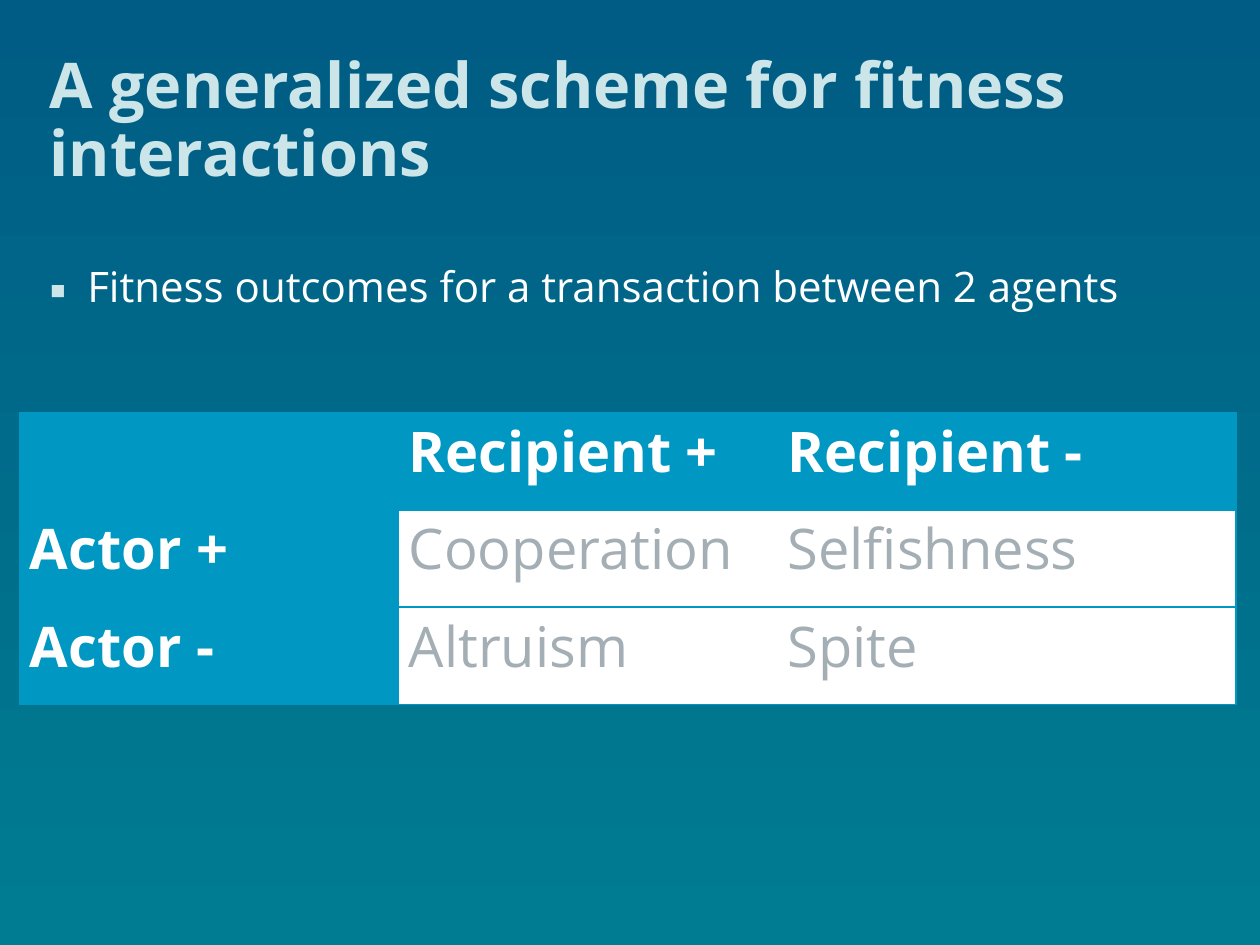
import pptx
import pptx.dml.color
import pptx.enum.text
import pptx.oxml
import pptx.oxml.ns
import pptx.util
from dataclasses import dataclass

Cm = pptx.util.Cm
Pt = pptx.util.Pt
RGB = pptx.dml.color.RGBColor
Anchor = pptx.enum.text.MSO_ANCHOR

NAVY = RGB(0x00, 0x5C, 0x84)
TEAL = RGB(0x00, 0x7C, 0x92)
BLUE = RGB(0x00, 0x98, 0xC3)
PALE = RGB(0xCC, 0xE5, 0xE9)
GRAY = RGB(0xA4, 0xAE, 0xB5)
WHITE = RGB(0xFF, 0xFF, 0xFF)
FONT = "Open Sans"
PLAIN = "{2D5ABB26-0587-4C30-8999-92F81FD0307C}"


@dataclass
class Look:
    size: int
    color: RGB
    bold: bool = False


HEAD = Look(32, WHITE, True)
DATA = Look(32, GRAY)
ROWS = [
    ["", "Recipient +", "Recipient -"],
    ["Actor +", "Cooperation", "Selfishness"],
    ["Actor -", "Altruism", "Spite"],
]
WIDTHS = [7.64, 7.64, 9.24]
HIGH = 1.96


def write(frame, text: str, look: Look, gap: float = 1.0):
    """Put one left-aligned paragraph in the frame and return it."""
    para = frame.paragraphs[0]
    para.alignment = pptx.enum.text.PP_ALIGN.LEFT
    para.line_spacing = gap
    run = para.add_run()
    run.text = text
    form = {"name": FONT, "size": Pt(look.size), "bold": look.bold}
    for key, value in form.items():
        setattr(run.font, key, value)
    run.font.color.rgb = look.color
    return para


def setup(frame, anchor) -> None:
    form = {
        "margin_left": 0, "margin_right": 0, "margin_top": 0,
        "margin_bottom": 0, "word_wrap": True, "vertical_anchor": anchor,
        "auto_size": pptx.enum.text.MSO_AUTO_SIZE.NONE,
    }
    for key, value in form.items():
        setattr(frame, key, value)


def place(shape, left: float, top: float, width: float, height: float) -> None:
    shape.left, shape.top = Cm(left), Cm(top)
    shape.width, shape.height = Cm(width), Cm(height)


def bullet(para, sign: str, color: RGB, indent: float) -> None:
    props = para._p.get_or_add_pPr()
    props.set("marL", str(Cm(indent)))
    props.set("indent", str(-Cm(indent)))
    space = pptx.oxml.ns.nsdecls("a")
    for xml in (
        f'<a:buClr {space}><a:srgbClr val="{color}"/></a:buClr>',
        f'<a:buFont {space} typeface="{FONT}"/>',
        f'<a:buChar {space} char="{sign}"/>',
    ):
        props.append(pptx.oxml.parse_xml(xml))


def border(cell, sides: list[str]) -> None:
    """Draw blue edges ahead of the cell's fill element."""
    props = cell._tc.get_or_add_tcPr()
    space = pptx.oxml.ns.nsdecls("a")
    for spot, side in enumerate(sides):
        props.insert(spot, pptx.oxml.parse_xml(
            f'<a:ln{side} {space} w="{Pt(1)}"><a:solidFill>'
            f'<a:srgbClr val="{BLUE}"/></a:solidFill></a:ln{side}>'))


def grid(slide) -> None:
    count = len(WIDTHS)
    frame = slide.shapes.add_table(
        len(ROWS), count, Cm(0.4), Cm(8.32),
        Cm(sum(WIDTHS)), Cm(HIGH * len(ROWS)))
    table = frame.table
    table._tbl.tblPr.find(pptx.oxml.ns.qn("a:tableStyleId")).text = PLAIN
    table.horz_banding = False
    for col, width in zip(table.columns, WIDTHS):
        col.width = Cm(width)
    for r, texts in enumerate(ROWS):
        table.rows[r].height = Cm(HIGH)
        for c, text in enumerate(texts):
            cell = table.cell(r, c)
            head = r == 0 or c == 0
            cell.fill.solid()
            cell.fill.fore_color.rgb = BLUE if head else WHITE
            cell.margin_left = cell.margin_right = Cm(0.2)
            cell.margin_top = cell.margin_bottom = 0
            if text:
                write(cell.text_frame, text, HEAD if head else DATA)
            ends = ["L"] * (c == 0) + ["R"] * (c == count - 1)
            border(cell, ends + ["T", "B"])


def main() -> None:
    deck = pptx.Presentation()
    deck.slide_width, deck.slide_height = Cm(25.4), Cm(19.05)
    slide = deck.slides.add_slide(deck.slide_layouts[5])

    back = slide.background.fill
    back.gradient()
    back.gradient_angle = 270
    for stop, color in zip(back.gradient_stops, (NAVY, TEAL)):
        stop.color.rgb = color

    title = slide.shapes.title
    place(title, 1, 0.1, 23.42, 3.73)
    setup(title.text_frame, Anchor.BOTTOM)
    write(title.text_frame, "A generalized scheme for fitness interactions",
          Look(36, PALE, True), 0.9)

    body = slide.shapes.add_textbox(0, 0, 0, 0)
    place(body, 1, 5.33, 23.42, 12.5)
    setup(body.text_frame, Anchor.TOP)
    para = write(body.text_frame,
                 "Fitness outcomes for a transaction between 2 agents",
                 Look(24, WHITE), 0.95)
    bullet(para, "▪", PALE, 0.76)

    grid(slide)
    deck.save("out.pptx")


if __name__ == "__main__":
    main()
